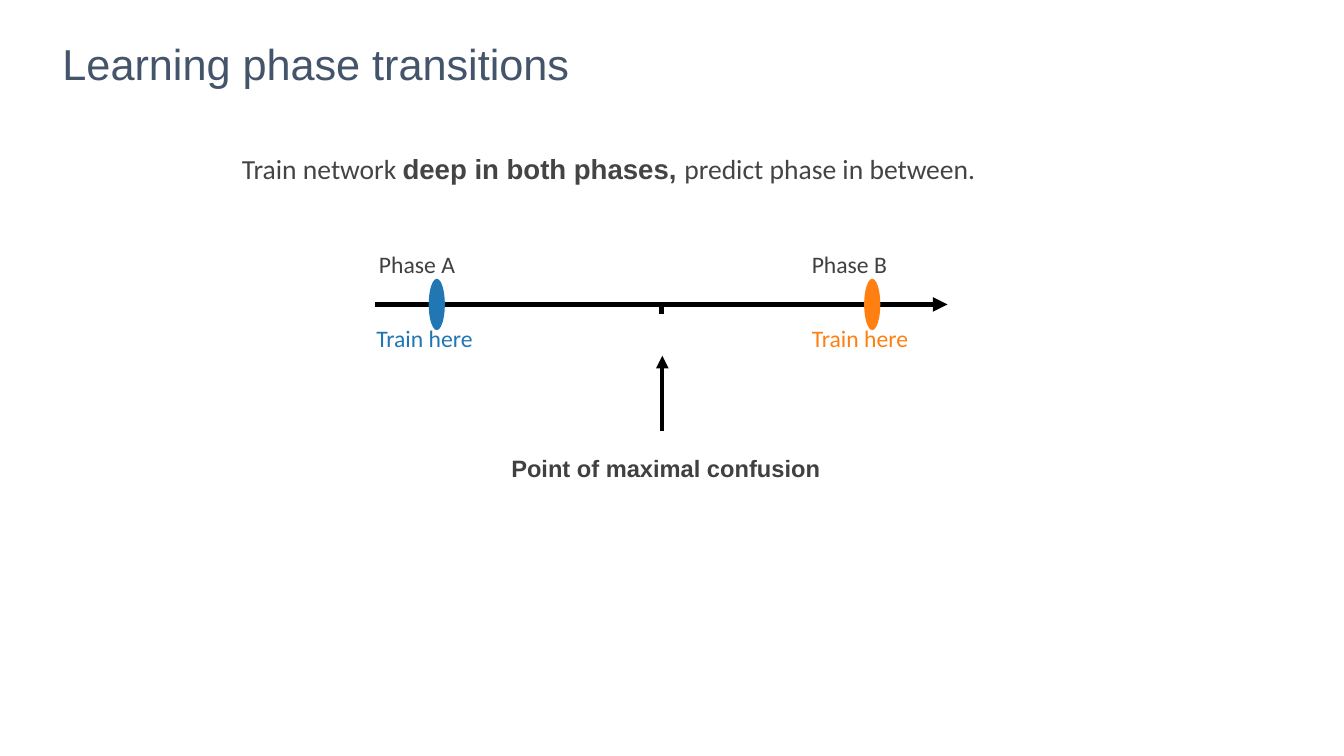
from dataclasses import dataclass

from lxml.etree import SubElement
from pptx import Presentation
from pptx.dml.color import RGBColor as RGB
from pptx.enum.shapes import MSO_CONNECTOR as LINE, MSO_SHAPE as SHAPE
from pptx.enum.text import MSO_ANCHOR as ANCHOR, MSO_AUTO_SIZE as FIT, PP_ALIGN as ALIGN
from pptx.oxml.ns import qn
from pptx.util import Inches, Pt


@dataclass(frozen=True)
class Theme:
    heading: RGB = RGB.from_string("44546A")
    intro: RGB = RGB.from_string("444444")
    label: RGB = RGB.from_string("404040")
    phase_a: RGB = RGB.from_string("2077B4")
    phase_b: RGB = RGB.from_string("FF8011")
    ink: RGB = RGB.from_string("000000")
    sans: str = "Arial"
    body: str = "Calibri"
    title_size: float = 30.9
    intro_size: float = 19.7
    label_size: float = 16.9


theme = Theme()
deck = Presentation()
deck.slide_width, deck.slide_height = Inches(13.33), Inches(7.5)
# Every position and length is a percentage of the slide's width or height.
COL, ROW = deck.slide_width / 100, deck.slide_height / 100
slide = deck.slides.add_slide(deck.slide_layouts[5])
shapes = slide.shapes


def write(holder, place, pieces, size, color, inset=0.04, align=ALIGN.LEFT):
    """Place a text holder and fill it with (text, font, bold) pieces."""
    left, top, width, height = place
    holder.left, holder.width = int(left * COL), int(width * COL)
    holder.top, holder.height = int(top * ROW), int(height * ROW)
    frame = holder.text_frame
    frame.word_wrap = True
    frame.vertical_anchor = ANCHOR.MIDDLE
    frame.margin_left = frame.margin_right = Inches(inset)
    frame.margin_top = frame.margin_bottom = Inches(inset)
    paragraph = frame.paragraphs[0]
    paragraph.alignment = align
    for text, face, bold in pieces:
        run = paragraph.add_run()
        run.text = text
        run.font.name, run.font.bold = face, bold
        run.font.size, run.font.color.rgb = Pt(size), color
    return frame


def draw_line(start, end, weight, arrow=False):
    (x1, y1), (x2, y2) = start, end
    line = shapes.add_connector(LINE.STRAIGHT, int(x1 * COL), int(y1 * ROW),
                                int(x2 * COL), int(y2 * ROW))
    line.line.color.rgb, line.line.width = theme.ink, Pt(weight)
    properties = line._element.spPr
    if arrow:
        SubElement(properties.find(qn("a:ln")), qn("a:tailEnd"), type="triangle")
    SubElement(properties, qn("a:effectLst"))


title = write(shapes.title, (4.65, 1.87, 89.4, 13.73),
              [("Learning phase transitions", theme.sans, False)],
              theme.title_size, theme.heading, inset=0)
title.auto_size = FIT.NONE
title.paragraphs[0].line_spacing = 0.9

# Parameter axis with a tick halfway
axis_start, axis_end, axis_row = 27.9, 70.5, 40.27
middle = (axis_start + axis_end) / 2
draw_line((axis_start, axis_row), (axis_end, axis_row), 3.5, arrow=True)
draw_line((middle, axis_row), (middle, axis_row + 1.2), 3.5)

# Training points: name above the axis, marker on it, note below
marker_width, marker_height = 1.2, 6.8
label_height = 4.8
for phase, color, center, name_left, note_left in (
    ("Phase A", theme.phase_a, 32.5, 27.9, 27.7),
    ("Phase B", theme.phase_b, 64.9, 60.1, 60.1),
):
    for text, ink, place in (
        (phase, theme.label, (name_left, 32.53, 8.5, label_height)),
        ("Train here", color, (note_left, 42.27, 9.1, label_height)),
    ):
        label = write(shapes.add_textbox(0, 0, 0, 0), place,
                      [(text, theme.body, False)], theme.label_size, ink)
        label.auto_size = FIT.SHAPE_TO_FIT_TEXT
    marker = shapes.add_shape(
        SHAPE.OVAL, int((center - marker_width / 2) * COL),
        int((axis_row - marker_height / 2) * ROW),
        int(marker_width * COL), int(marker_height * ROW))
    marker.shadow.inherit = False
    marker.fill.solid()
    marker.fill.fore_color.rgb = color
    marker.line.fill.background()

intro = write(shapes.add_textbox(0, 0, 0, 0), (17.78, 19.73, 62.8, 5.2),
              [("Train network ", theme.body, False),
               ("deep in both phases, ", theme.sans, True),
               ("predict phase in between.", theme.body, False)],
              theme.intro_size, theme.intro, inset=0.03)
intro.auto_size = FIT.SHAPE_TO_FIT_TEXT

confusion = write(shapes.add_textbox(0, 0, 0, 0), (18.15, 59.6, 62.8, 4.53),
                  [("Point of maximal confusion", theme.sans, True)],
                  theme.label_size, theme.label, inset=0.03, align=ALIGN.CENTER)
confusion.auto_size = FIT.SHAPE_TO_FIT_TEXT
draw_line((49.28, 57.07), (49.28, 47.07), 3, arrow=True)

deck.save("out.pptx")
